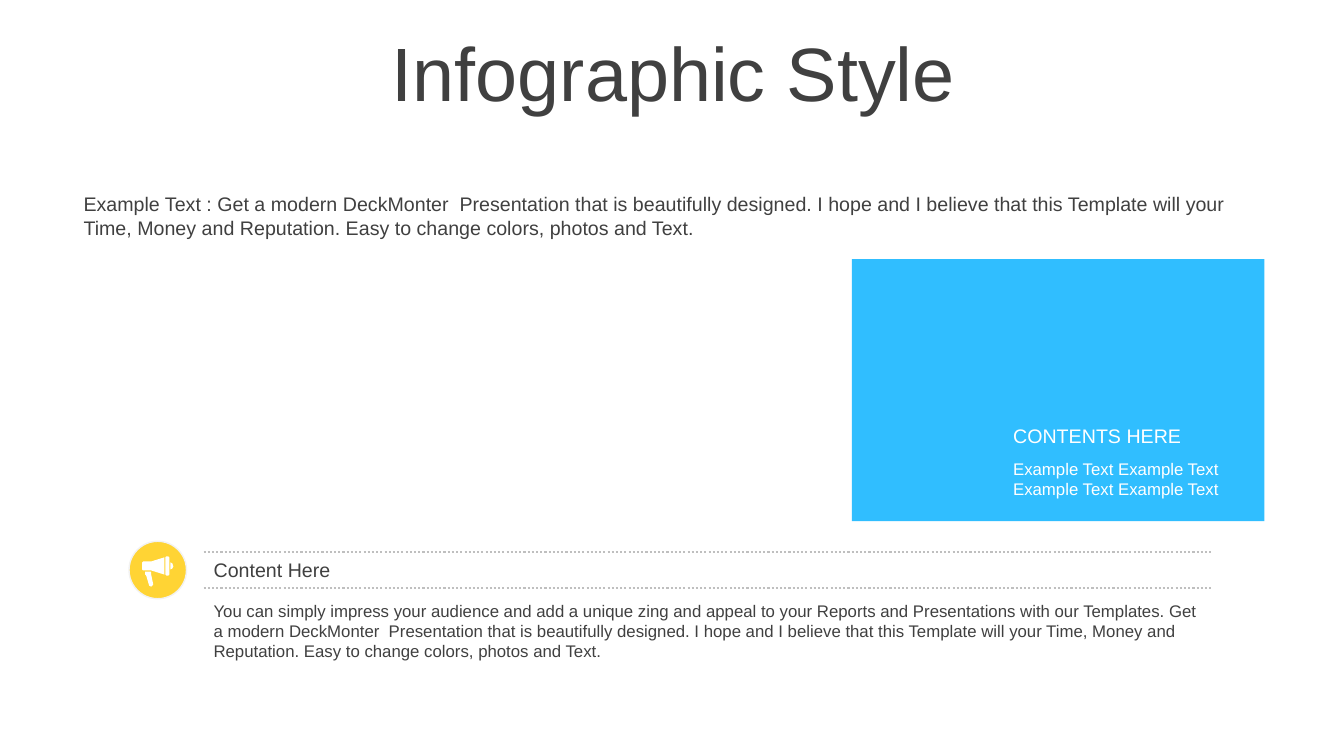
from pptx import Presentation, oxml, util as u
from pptx.dml.color import RGBColor
from pptx.enum import dml, shapes, text
from pptx.oxml.ns import qn

INK = {"dark": "404040", "white": "FFFFFF", "blue": "17B6FF",
       "gold": "FFD434", "rim": "F2F2F2", "rule": "BFBFBF"}
HORN = [
    [(22, 30), (22, 33), (24, 43), (23, 44), (22, 45), (20, 44), (17, 34), (16, 33), (16, 30)],
    [(41, 21), (43, 22), (44, 25), (43, 27), (41, 28)],
    [(14, 20), (22, 20), (22, 29), (14, 29), (13, 28), (13, 21)],
    [(35, 16), (35, 33), (22.5, 29), (22.5, 20)],
    [(37, 15), (39, 15), (40, 16), (40, 33), (39, 34), (37, 34), (36, 33), (36, 16)],
]
PITCH = ("Get a modern DeckMonter  Presentation that is beautifully designed. "
         "I hope and I believe that this Template will your Time, Money and "
         "Reputation. Easy to change colors, photos and Text.")


def hue(name):
    return RGBColor.from_string(INK[name])


def spots(*nums):
    return [u.Inches(n) for n in nums]


def write(slide, box, lines, size, ink="dark"):
    frame = slide.shapes.add_textbox(*spots(*box)).text_frame
    frame.word_wrap = True
    for i, line in enumerate(lines):
        para = frame.paragraphs[0] if i == 0 else frame.add_paragraph()
        run = para.add_run()
        run.text = line
        run.font.size = u.Pt(size)
        run.font.name = "Arial"
        run.font.color.rgb = hue(ink)
    return frame


def paint(shape, fill, line=None):
    shape.shadow.inherit = False
    shape.fill.solid()
    shape.fill.fore_color.rgb = hue(fill)
    if line:
        shape.line.color.rgb = hue(line)
        shape.line.width = u.Pt(1)
    else:
        shape.line.fill.background()


def header(slide, x, y, w, h):
    frame = write(slide, (x, y, w, h), ["Infographic Style"], 54)
    frame.vertical_anchor = text.MSO_ANCHOR.MIDDLE
    para = frame.paragraphs[0]
    para.alignment = text.PP_ALIGN.CENTER
    para.line_spacing = 0.9


def panel(slide, x, y, w, h):
    card = slide.shapes.add_shape(shapes.MSO_SHAPE.RECTANGLE, *spots(x, y, w, h))
    paint(card, "blue")
    tint = card.fill._xPr.find(qn("a:solidFill"))[0]
    oxml.xmlchemy.OxmlElement("a:alpha")
    alpha = oxml.xmlchemy.OxmlElement("a:alpha")
    alpha.set("val", "89000")
    tint.append(alpha)
    write(slide, (x + 1.5, y + 1.59, 2.44, 0.34), ["CONTENTS HERE"], 14, "white")
    write(slide, (x + 1.5, y + 1.93, 2.44, 0.5), ["Example Text Example Text"] * 2, 12, "white")


def badge(slide, x, y, size):
    disc = slide.shapes.add_shape(shapes.MSO_SHAPE.OVAL, *spots(x, y, size, size))
    paint(disc, "gold", "rim")
    pen = slide.shapes.build_freeform(*HORN[0][0], scale=u.Inches(0.01))
    for i, part in enumerate(HORN):
        if i:
            pen.move_to(*part[0])
        pen.add_line_segments(part[1:], close=True)
    paint(pen.convert_to_shape(*spots(x, y)), "white")


def topic(slide, x, y, w, h):
    for top in (y, y + 0.35):
        rule = slide.shapes.add_connector(
            shapes.MSO_CONNECTOR.STRAIGHT, *spots(x, top, x + w, top))
        rule.line.color.rgb = hue("rule")
        rule.line.width = u.Pt(1.5)
        rule.line.dash_style = dml.MSO_LINE.ROUND_DOT
        rule._element.spPr.append(oxml.xmlchemy.OxmlElement("a:effectLst"))
    write(slide, (x, y + 0.01, 2.95, 0.34), ["Content Here"], 14)
    write(slide, (x, y + 0.43, w + 0.03, h - 0.43),
          ["You can simply impress your audience and add a unique zing and appeal "
           "to your Reports and Presentations with our Templates. " + PITCH], 12)


def main():
    deck = Presentation()
    deck.slide_width, deck.slide_height = spots(13.33, 7.5)
    slide = deck.slides.add_slide(deck.slide_layouts[6])
    panel(slide, 8.45, 2.57, 4.09, 2.6)
    badge(slide, 1.28, 5.37, 0.57)
    write(slide, (0.73, 1.86, 11.99, 0.57), ["Example Text : " + PITCH], 14)
    topic(slide, 2.02, 5.48, 10, 1.14)
    header(slide, 0.35, 0.37, 12.66, 0.79)
    deck.save("out.pptx")


if __name__ == "__main__":
    main()
